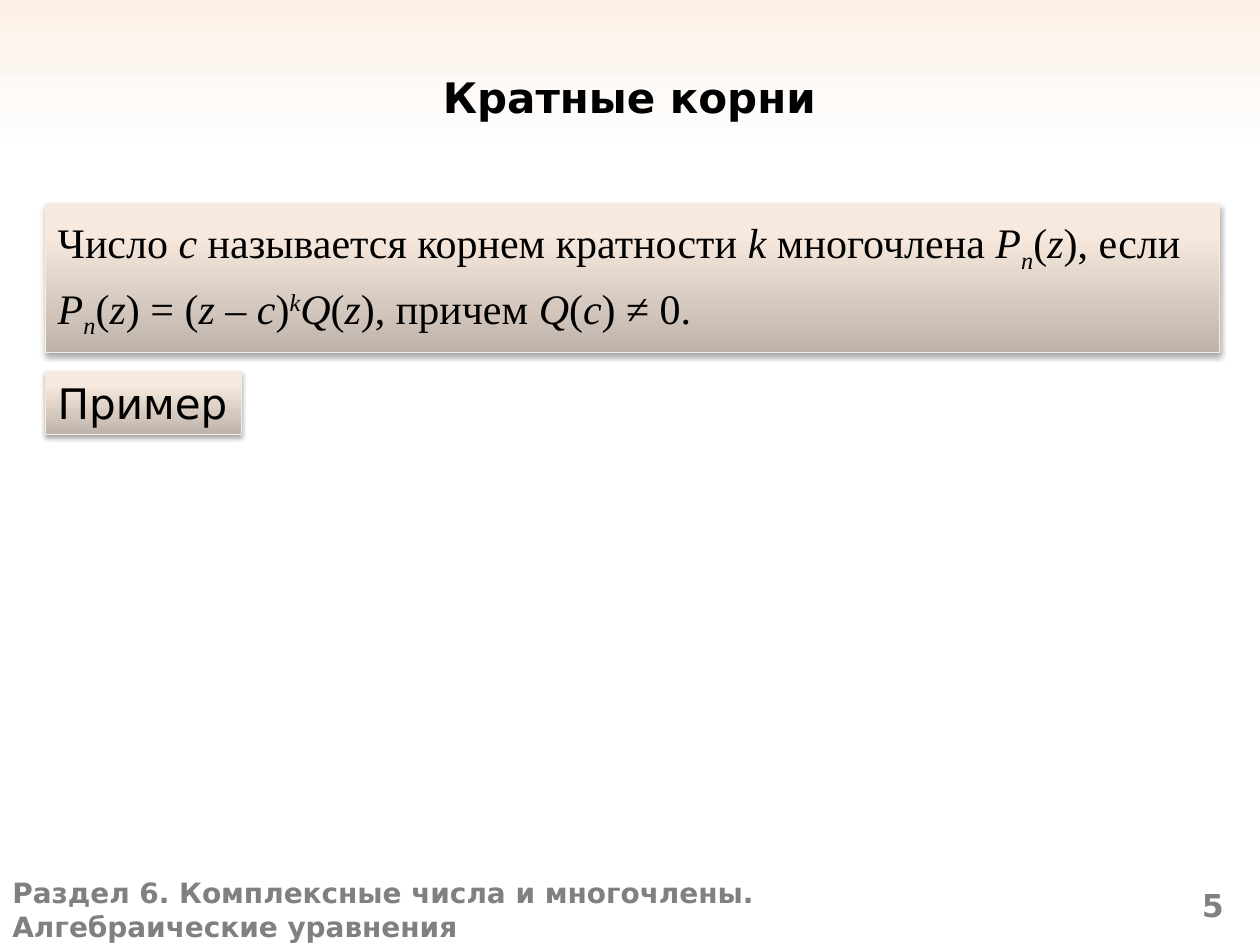
from lxml.etree import SubElement
from pptx import Presentation
from pptx.dml.color import RGBColor
from pptx.enum.shapes import MSO_SHAPE
from pptx.enum.text import MSO_ANCHOR, PP_ALIGN
from pptx.oxml.ns import qn
from pptx.util import Inches, Pt

COLORS = {"ink": "000000", "muted": "808080", "edge": "F6EBE1"}
PAGE_GRADIENT = [(0, "FCF1E8"), (16, "FFFFFF")]
PANEL_GRADIENT = [(0, "BEB3AB"), (80, "F7E9DD"), (100, "F9EADE")]
SANS, SERIF = "DejaVu Sans", "Times New Roman"

BASELINES = {"sub": -25, "sup": 30}
POLYNOMIAL = [("P", "italic"), ("n", "sub"), ("(", ""), ("z", "italic")]
TITLE = [[("Кратные корни", "")]]
DEFINITION = [
    [("Число ", ""), ("с", "italic"), (" называется корнем кратности ", ""),
     ("k", "italic"), (" многочлена ", ""), *POLYNOMIAL, ("), если", "")],
    [*POLYNOMIAL, (") = (", ""), ("z", "italic"), (" – ", ""), ("c", "italic"),
     (")", ""), ("k", "sup"), ("Q", "italic"), ("(", ""), ("z", "italic"),
     ("), причем ", ""), ("Q", "italic"), ("(", ""), ("с", "italic"), (") ≠ 0.", "")],
]
EXAMPLE = [[("Пример", "")]]
SECTION = [[("Раздел 6. Комплексные числа и многочлены.", "")],
           [("Алгебраические уравнения", "")]]
PAGE_NUMBER = [[("5", "")]]

HEADING = {"name": SANS, "size": Pt(24), "bold": True}
FORMULA = {"name": SERIF, "size": Pt(24)}
LABEL = {"name": SANS, "size": Pt(24)}
FOOTER = {"name": SANS, "size": Pt(16), "bold": True}
NUMBER = {**FOOTER, "size": Pt(18)}


def set_gradient(grad_fill, stops, angle):
    for child in list(grad_fill):
        grad_fill.remove(child)
    stop_list = SubElement(grad_fill, qn("a:gsLst"))
    for position, color in stops:
        stop = SubElement(stop_list, qn("a:gs"), pos=str(position * 1000))
        SubElement(stop, qn("a:srgbClr"), val=color)
    SubElement(grad_fill, qn("a:lin"), ang=str(angle * 60000), scaled="0")


def write(holder, paragraphs, font, color="ink", align=PP_ALIGN.LEFT,
          anchor=MSO_ANCHOR.TOP, gap=0, wrap=True, top=0.05):
    frame = holder.text_frame
    layout = {"word_wrap": wrap, "vertical_anchor": anchor, "margin_top": Inches(top)}
    for key, value in layout.items():
        setattr(frame, key, value)
    for index, pieces in enumerate(paragraphs):
        paragraph = frame.add_paragraph() if index else frame.paragraphs[0]
        paragraph.alignment = align
        paragraph.space_before = Pt(gap if index else 0)
        for text, style in pieces:
            run = paragraph.add_run()
            run.text = text
            for key, value in {**font, "italic": bool(style)}.items():
                setattr(run.font, key, value)
            run.font.color.rgb = RGBColor.from_string(COLORS[color])
            if style in BASELINES:
                run.font._element.set("baseline", str(BASELINES[style] * 1000))


def place(*box):
    return [Inches(length) for length in box]


def add_panel(slide, box, paragraphs, font, **layout):
    panel = slide.shapes.add_shape(MSO_SHAPE.RECTANGLE, *place(*box))
    panel.fill.gradient()
    set_gradient(panel.element.spPr.find(qn("a:gradFill")), PANEL_GRADIENT, 270)
    panel.line.color.rgb = RGBColor.from_string(COLORS["edge"])
    panel.line.width = Pt(0.75)
    panel.shadow.inherit = False
    shadow = SubElement(panel.element.spPr.find(qn("a:effectLst")), qn("a:outerShdw"),
                        blurRad=str(Pt(3.1)), dist=str(Pt(1.8)),
                        dir=str(90 * 60000), rotWithShape="0")
    tint = SubElement(shadow, qn("a:srgbClr"), val=COLORS["ink"])
    SubElement(tint, qn("a:alpha"), val="35000")
    write(panel, paragraphs, font, **layout)


def main():
    deck = Presentation()
    deck.slide_width, deck.slide_height = place(10, 7.5)
    slide = deck.slides.add_slide(deck.slide_layouts[5])
    slide.background.fill.gradient()
    set_gradient(slide.element.xpath(".//p:bg//a:gradFill")[0], PAGE_GRADIENT, 90)

    title = slide.shapes.title
    title.left, title.top, title.width, title.height = place(0.27, 0.29, 9.45, 0.95)
    write(title, TITLE, HEADING, align=PP_ALIGN.CENTER, anchor=MSO_ANCHOR.MIDDLE)

    for box, paragraphs, font, align in [
        ((8.83, 6.98, 0.98, 0.52), PAGE_NUMBER, NUMBER, PP_ALIGN.RIGHT),
        ((0, 6.9, 9.88, 0.52), SECTION, FOOTER, PP_ALIGN.LEFT),
    ]:
        write(slide.shapes.add_textbox(*place(*box)), paragraphs, font, "muted", align)

    add_panel(slide, (0.36, 1.62, 9.32, 1.18), DEFINITION, FORMULA,
              align=PP_ALIGN.JUSTIFY, gap=4.8, top=0.1)
    add_panel(slide, (0.36, 2.95, 1.56, 0.5), EXAMPLE, LABEL, wrap=False)
    deck.save("out.pptx")


if __name__ == "__main__":
    main()
